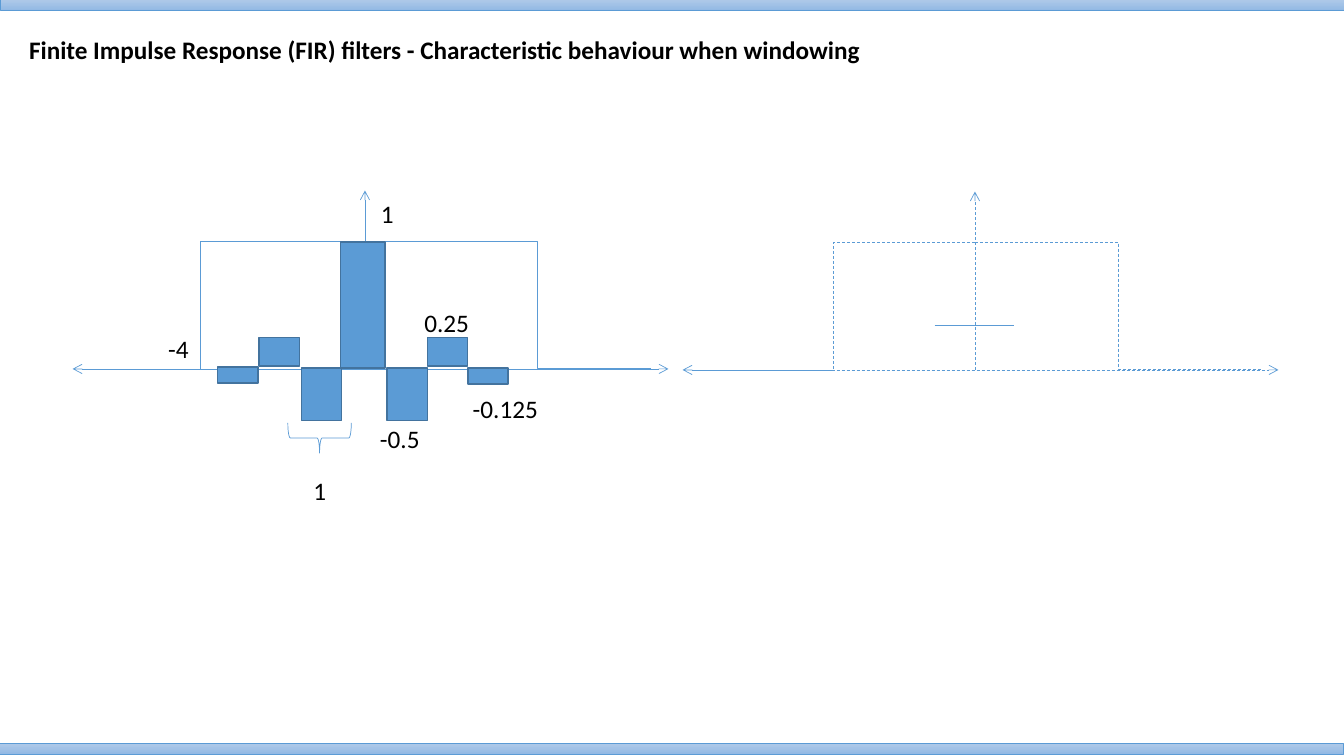
from lxml import etree
from pptx import Presentation
from pptx.dml.color import RGBColor
from pptx.enum.dml import MSO_LINE
from pptx.enum.shapes import MSO_CONNECTOR as CONN, MSO_SHAPE as SHAPE
from pptx.oxml.ns import qn
from pptx.util import Inches, Pt

BLUE = RGBColor(0x5B, 0x9B, 0xD5)
EDGE = RGBColor(0x43, 0x73, 0x9E)
BAND_LIGHT = RGBColor(0xB1, 0xCB, 0xE9)
BAND_DARK = RGBColor(0x93, 0xB9, 0xE4)
BLACK = RGBColor(0, 0, 0)

COLS, ROWS = 133.3, 75
CELL = 0.1
LABEL_ROWS = 4
AXIS_COLS, AXIS_ROWS, APEX_COL, GATE_ROW = 59.1, 17.7, 29, 5


def grid(*cells):
    """Convert counts of grid cells to lengths."""
    return [Inches(c * CELL) for c in cells]


def add_text(slide, text, x, y, w, size=18, bold=False, color=BLACK, font="Calibri"):
    """Place one line of text on the grid."""
    s = slide.shapes.add_textbox(*grid(x, y, w, LABEL_ROWS))
    tf = s.text_frame
    tf.word_wrap = True
    r = tf.paragraphs[0].add_run()
    r.text = text
    r.font.name, r.font.size, r.font.bold = font, Pt(size), bold
    r.font.color.rgb = color


def add_box(slide, kind, x, y, w, h, fill=None, line=BLUE, weight=0.5):
    """Place a preset shape without a shadow on the grid."""
    s = slide.shapes.add_shape(kind, *grid(x, y, w, h))
    s.shadow.inherit = False
    s.line.color.rgb, s.line.width = line, Pt(weight)
    if fill is None:
        s.fill.background()
    else:
        s.fill.solid()
        s.fill.fore_color.rgb = fill
    return s


def add_line(slide, x1, y1, x2, y2, kind=CONN.STRAIGHT, dash=False, ends=()):
    """Place a thin connector with arrowheads at the named ends."""
    s = slide.shapes.add_connector(kind, *grid(x1, y1, x2, y2))
    s.line.color.rgb, s.line.width = BLUE, Pt(0.5)
    if dash:
        s.line.dash_style = MSO_LINE.DASH
    ln = s.line._get_or_add_ln()
    for end in ends:
        etree.SubElement(ln, qn(f"a:{end}"), type="arrow")
    etree.SubElement(s._element.spPr, qn("a:effectLst"))
    return s


def add_band(slide, x, y):
    """Draw a gradient band across the slide."""
    s = add_box(slide, SHAPE.RECTANGLE, x, y, COLS, 1.1)
    s.fill.gradient()
    s.fill.gradient_angle = 270
    for stop, color in zip(s.fill.gradient_stops, (BAND_LIGHT, BAND_DARK)):
        stop.color.rgb = color


def add_window(slide, x, y, left_edge, right_edge, dash=False):
    """Draw the axes and the rectangular window from the box's top left."""
    apex, base = x + APEX_COL, y + AXIS_ROWS
    add_line(slide, apex, base, apex, y, dash=dash, ends=["tailEnd"])
    add_line(slide, x, base, x + AXIS_COLS, base, dash=dash, ends=["headEnd", "tailEnd"])
    for edge, end, drop in ((right_edge, 57.4, 17.6), (left_edge, 0.9, 17.7)):
        s = add_line(slide, apex, y + GATE_ROW, x + end, y + drop, CONN.ELBOW, dash)
        s_geom = s._element.spPr.find(qn("a:prstGeom"))
        bend = round((edge - APEX_COL) / (end - APEX_COL) * 100000)
        etree.SubElement(s_geom.find(qn("a:avLst")), qn("a:gd"), name="adj1", fmla=f"val {bend}")


def add_impulse_response(slide, x, y):
    """Draw the windowed coefficients, their labels and the unit brace."""
    add_window(slide, x, y, left_edge=12.7, right_edge=46.1)
    bars = [(14.4, 17.5, 4, 1.6), (18.5, 14.6, 4, 2.8), (22.7, 17.6, 4, 5.2),
            (26.6, 5.1, 4.4, 12.5), (31.2, 17.6, 4, 5.2), (35.2, 14.6, 4, 2.8),
            (39.2, 17.6, 4, 1.6)]
    for col, row, w, h in bars:
        add_box(slide, SHAPE.RECTANGLE, x + col, y + row, w, h, BLUE, EDGE, 1)
    labels = [("-4", 8.5, 13.7, 8.1), ("0.25", 33.9, 11.1, 9.8), ("-0.5", 29.5, 22.6, 9.8),
              ("-0.125", 38.7, 19.6, 14.4), ("1", 29.6, 0.3, 3.6), ("1", 22.9, 27.8, 3.6)]
    for text, col, row, w in labels:
        add_text(slide, text, x + col, y + row, w)
    brace = add_box(slide, SHAPE.LEFT_BRACE, x + 23, y + 21.4, 3, 6.3)
    brace.rotation = 270


def add_dashed_window(slide, x, y):
    """Draw the empty dashed window with its level mark."""
    add_window(slide, x, y, left_edge=15, right_edge=43.2, dash=True)
    add_line(slide, x + 25, y + 13.3, x + 32.9, y + 13.3)


def main():
    """Build and save the slide."""
    prs = Presentation()
    prs.slide_width, prs.slide_height = grid(COLS, ROWS)
    slide = prs.slides.add_slide(prs.slide_layouts[6])
    add_band(slide, 0, -0.1)
    add_band(slide, -0.1, 73.7)
    add_text(slide, "Finite Impulse Response (FIR) filters - Characteristic behaviour when windowing",
             1.9, 2.9, 121.7, bold=True)
    add_impulse_response(slide, 7.2, 18.9)
    add_dashed_window(slide, 67.7, 19)
    prs.save("out.pptx")


if __name__ == "__main__":
    main()
